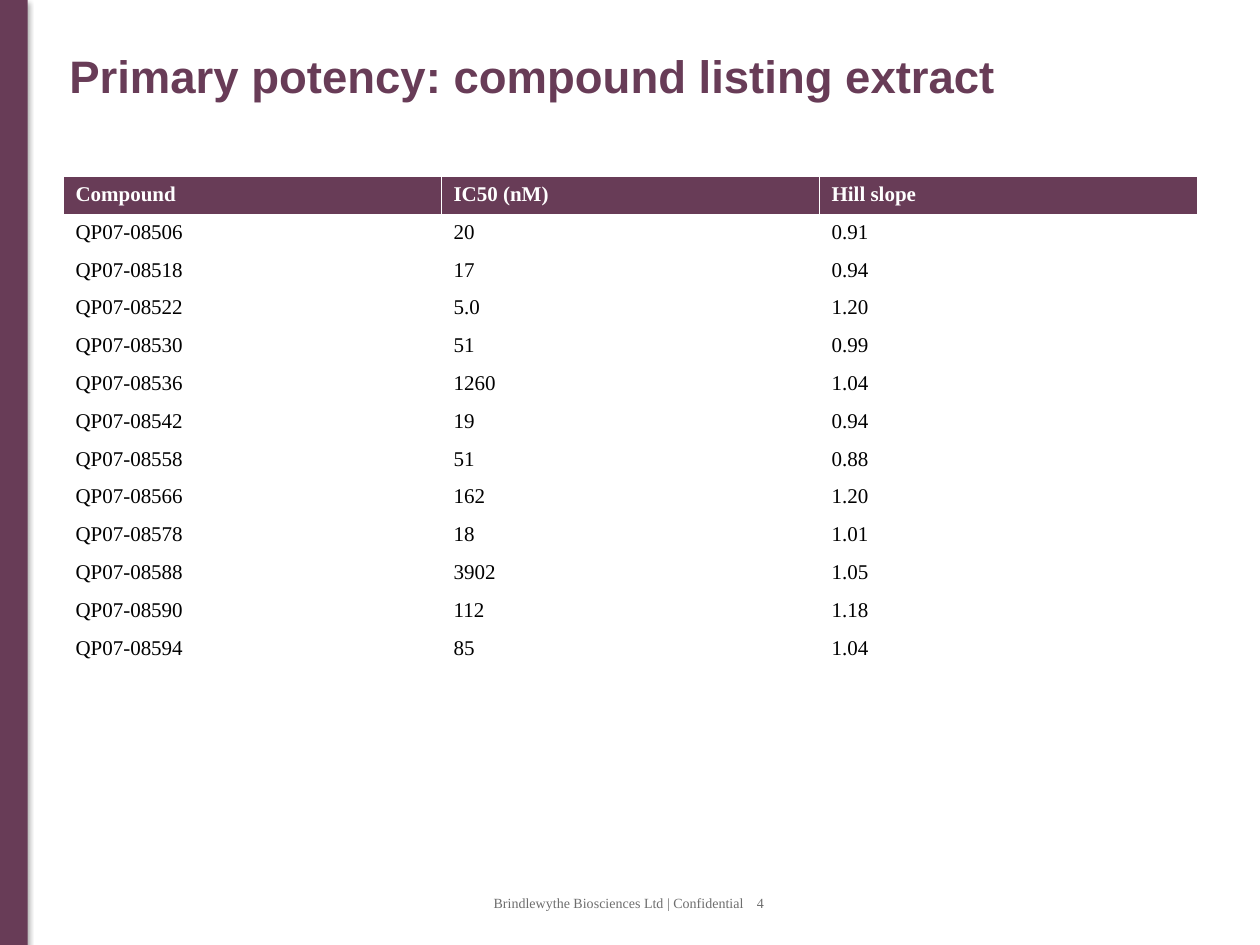
from dataclasses import dataclass

from lxml import etree
from pptx import Presentation
from pptx.dml.color import RGBColor
from pptx.enum.shapes import MSO_SHAPE
from pptx.enum.text import MSO_ANCHOR, MSO_AUTO_SIZE, PP_ALIGN
from pptx.oxml.ns import qn
from pptx.util import Pt

RECTANGLE = MSO_SHAPE.RECTANGLE
MIDDLE = MSO_ANCHOR.MIDDLE
LEFT = PP_ALIGN.LEFT
NO_FIT, GROW = MSO_AUTO_SIZE.NONE, MSO_AUTO_SIZE.SHAPE_TO_FIT_TEXT


@dataclass(frozen=True)
class Theme:
    """Colours, fonts and type sizes of the deck."""
    accent: str = "683C57"
    paper: str = "FFFFFF"
    ink: str = "000000"
    muted: str = "6E6E6E"
    heading_font: str = "Arial"
    body_font: str = "Times New Roman"
    title_size: float = 26
    table_size: float = 12
    footer_size: float = 8
    border_width: float = 0.45


THEME = Theme()
PAGE_WIDTH, PAGE_HEIGHT = 720, 540
TITLE_BOX = (32.4, 10.8, 655.2, 64.8)
BAR_BOX = (0, 0, 15.84, PAGE_HEIGHT)
TABLE_BOX = (36, 100.8, 648, 280.8)
FOOTER_BOX = (275, 507.6, 169.2, 16.6)
PAGE_NUMBER_TAB = 150.5

TITLE = "Primary potency: compound listing extract"
FOOTER = "Brindlewythe Biosciences Ltd | Confidential"
PAGE_NUMBER = "4"
HEADER = ("Compound", "IC50 (nM)", "Hill slope")
POTENCY = (
    ("QP07-08506", "20", "0.91"),
    ("QP07-08518", "17", "0.94"),
    ("QP07-08522", "5.0", "1.20"),
    ("QP07-08530", "51", "0.99"),
    ("QP07-08536", "1260", "1.04"),
    ("QP07-08542", "19", "0.94"),
    ("QP07-08558", "51", "0.88"),
    ("QP07-08566", "162", "1.20"),
    ("QP07-08578", "18", "1.01"),
    ("QP07-08588", "3902", "1.05"),
    ("QP07-08590", "112", "1.18"),
    ("QP07-08594", "85", "1.04"),
)


def to_points(box):
    """Return the numbers of a box as point lengths."""
    return [Pt(value) for value in box]


def write_text(para, text, color, **font_values):
    """Write one formatted line into a paragraph."""
    para.text = text
    para.alignment = LEFT
    for span in para.runs:
        for name, value in font_values.items():
            setattr(span.font, name, value)
        span.font.color.rgb = RGBColor.from_string(color)


def set_fill(target, color):
    """Give a shape or a cell a solid fill."""
    target.fill.solid()
    target.fill.fore_color.rgb = RGBColor.from_string(color)


def add_borders(cell):
    """Draw thin lines on the four sides of a cell."""
    properties = cell._tc.get_or_add_tcPr()
    for side in ("a:lnL", "a:lnR", "a:lnT", "a:lnB"):
        line = etree.SubElement(properties, qn(side), w=str(Pt(THEME.border_width)))
        fill = etree.SubElement(line, qn("a:solidFill"))
        etree.SubElement(fill, qn("a:srgbClr"), val=THEME.paper)


def place_title(page, box):
    """Move the title placeholder to its box and format it."""
    title = page.shapes.title
    title.left, title.top, title.width, title.height = to_points(box)
    frame = title.text_frame
    frame.auto_size = NO_FIT
    frame.vertical_anchor = MIDDLE
    write_text(frame.paragraphs[0], TITLE, THEME.accent, name=THEME.heading_font,
               size=Pt(THEME.title_size), bold=True)


def place_side_bar(page, box):
    """Add the accent bar, which keeps the theme's soft shadow."""
    bar = page.shapes.add_shape(RECTANGLE, *to_points(box))
    set_fill(bar, THEME.accent)
    bar.line.fill.background()


def place_potency_table(page, box):
    """Add the compound table with equal rows and columns."""
    rows = (HEADER, *POTENCY)
    table = page.shapes.add_table(len(rows), len(HEADER), *to_points(box)).table
    table.horz_banding = False
    for column in table.columns:
        column.width = Pt(box[2] / len(HEADER))
    for row_index, values in enumerate(rows):
        table.rows[row_index].height = Pt(box[3] / len(rows))
        is_header = row_index == 0
        for column_index, value in enumerate(values):
            cell = table.cell(row_index, column_index)
            add_borders(cell)
            set_fill(cell, THEME.accent if is_header else THEME.paper)
            write_text(cell.text_frame.paragraphs[0], value,
                       THEME.paper if is_header else THEME.ink,
                       name=THEME.body_font, size=Pt(THEME.table_size), bold=is_header)


def place_footer(page, box):
    """Add the footer line with the page number at a tab stop."""
    frame = page.shapes.add_textbox(*to_points(box)).text_frame
    frame.word_wrap = False
    frame.auto_size = GROW
    para = frame.paragraphs[0]
    tabs = etree.SubElement(para._p.get_or_add_pPr(), qn("a:tabLst"))
    etree.SubElement(tabs, qn("a:tab"), pos=str(Pt(PAGE_NUMBER_TAB)), algn="l")
    write_text(para, f"{FOOTER}\t{PAGE_NUMBER}", THEME.muted,
               name=THEME.body_font, size=Pt(THEME.footer_size))


def main():
    """Build the deck and save it."""
    deck = Presentation()
    deck.slide_width, deck.slide_height = Pt(PAGE_WIDTH), Pt(PAGE_HEIGHT)
    page = deck.slides.add_slide(deck.slide_layouts.get_by_name("Title Only"))
    place_title(page, TITLE_BOX)
    place_side_bar(page, BAR_BOX)
    place_potency_table(page, TABLE_BOX)
    place_footer(page, FOOTER_BOX)
    deck.save("out.pptx")


if __name__ == "__main__":
    main()
